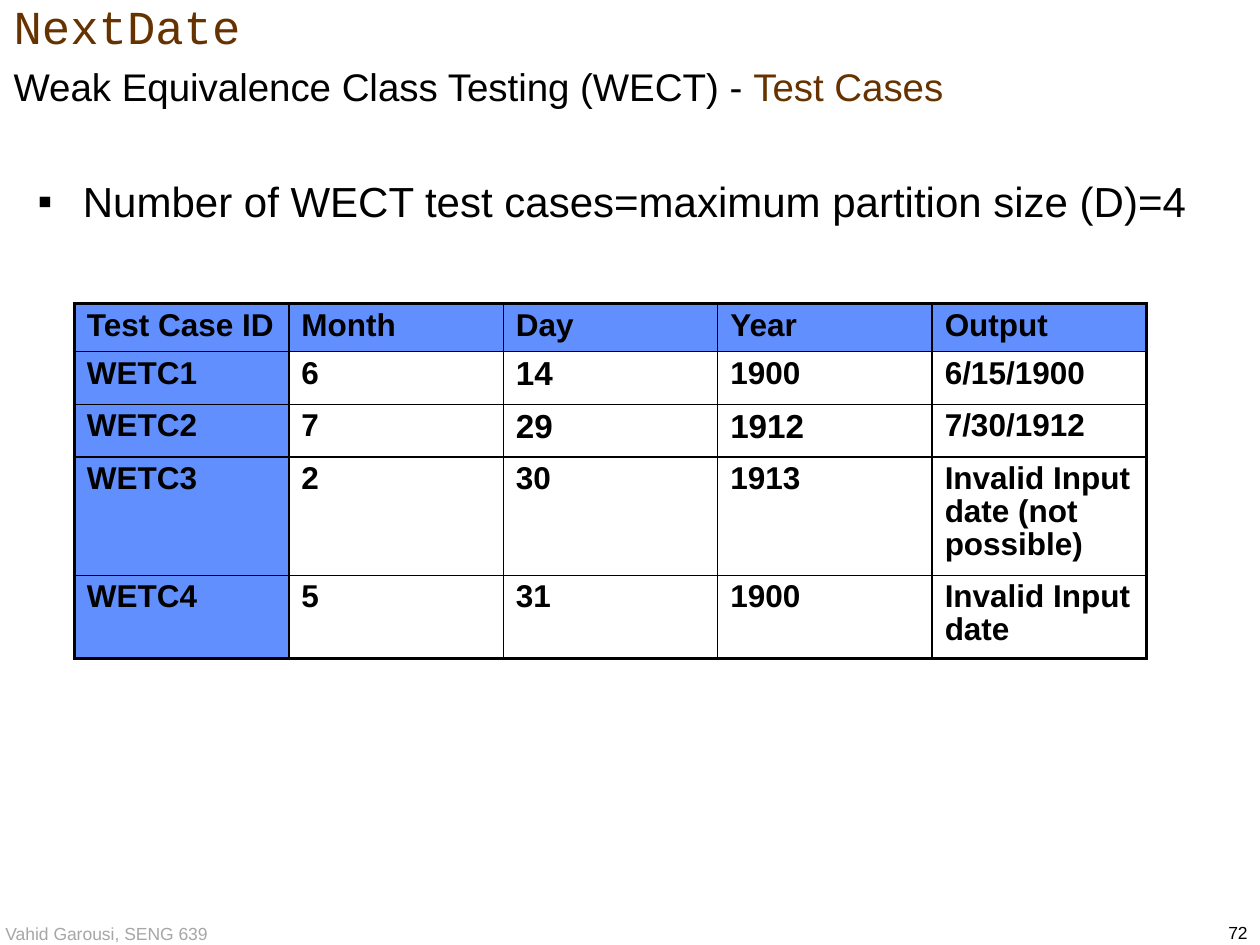
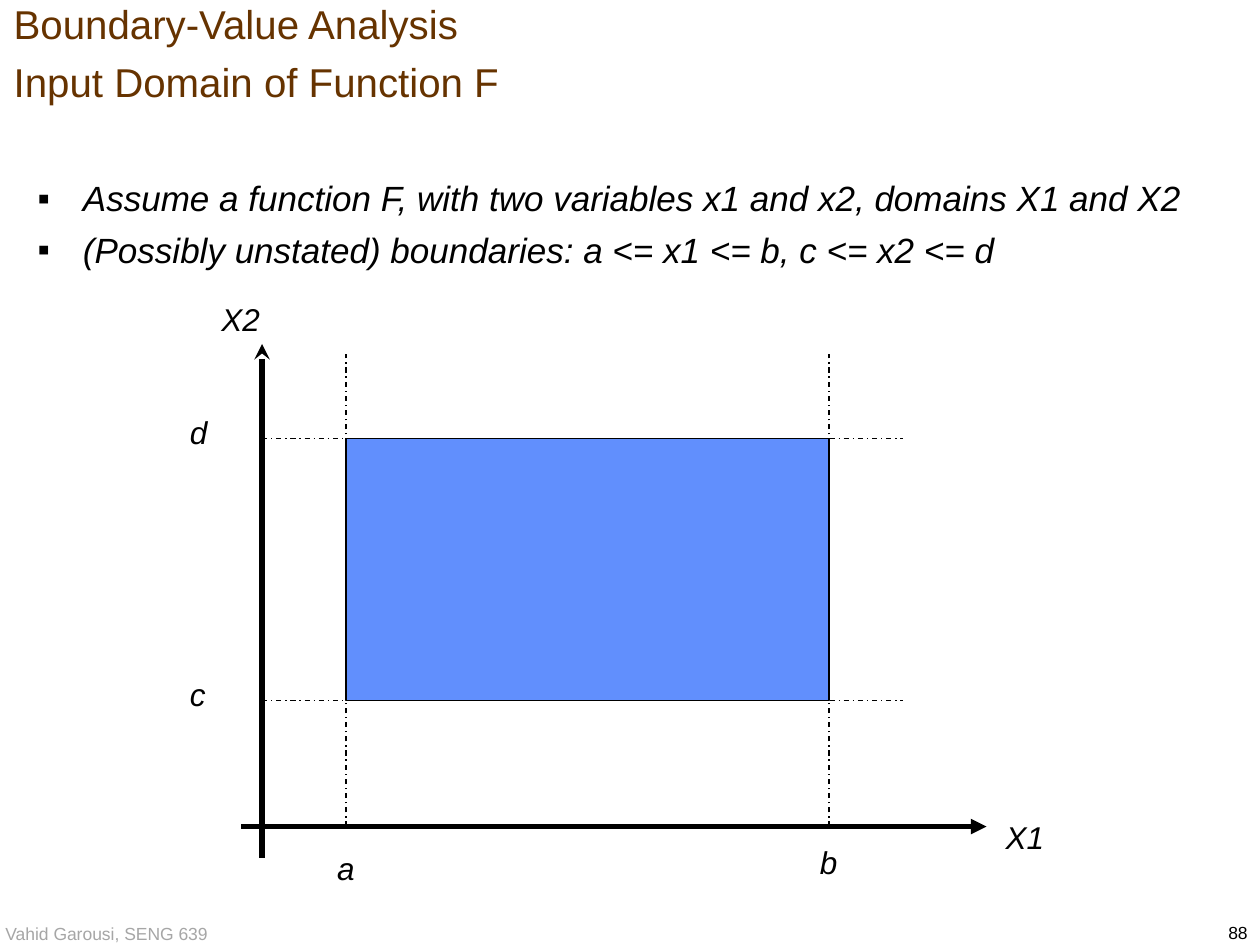
import dataclasses

import lxml.etree
import pptx
import pptx.dml.color
import pptx.enum.dml
import pptx.enum.shapes
import pptx.enum.text
import pptx.oxml.ns
import pptx.util

BLACK = pptx.dml.color.RGBColor(0x00, 0x00, 0x00)
BROWN = pptx.dml.color.RGBColor(0x66, 0x33, 0x00)
GRAY = pptx.dml.color.RGBColor(0xA6, 0xA6, 0xA6)
BLUE = pptx.dml.color.RGBColor(0x61, 0x8F, 0xFD)
SANS, MONO = "Arial", "Courier New"
ALIGN = pptx.enum.text.PP_ALIGN
ANCHOR = pptx.enum.text.MSO_ANCHOR
inches = pptx.util.Inches


@dataclasses.dataclass
class Box:
    left: float
    top: float
    width: float
    height: float

    def emu(self):
        return [inches(v) for v in (self.left, self.top, self.width, self.height)]


SLIDE = Box(0, 0, 10, 7.5)
TITLE = Box(0.01, 0.01, 9.99, 0.74)
AUTHOR = Box(-0.12, 7.25, 1.93, 0.32)
PAGE_NUMBER = Box(8.75, 7.27, 1.25, 0.27)
TEST_CASES = Box(0.59, 2.41, 8.51, 2.7)
PLOT = Box(2.08, 2.73, 5.75, 3.83)


def add_xml(parent, tag, **attributes):
    return lxml.etree.SubElement(parent, pptx.oxml.ns.qn(tag), attributes)


def set_font(font, size, color=BLACK, name=SANS, bold=False, italic=False):
    font.size = pptx.util.Pt(size)
    font.color.rgb = color
    font.name = name
    font.bold = bold
    font.italic = italic


def add_text(slide, box, text="", size=18, color=BLACK, italic=False,
             align=ALIGN.LEFT, anchor=ANCHOR.TOP, wrap=True):
    frame = slide.shapes.add_textbox(*box.emu()).text_frame
    frame.word_wrap = wrap
    frame.vertical_anchor = anchor
    paragraph = frame.paragraphs[0]
    paragraph.text = text
    paragraph.alignment = align
    set_font(paragraph.font, size, color, italic=italic)
    return frame


# Parts shared by both slides
def add_title(slide, lines):
    """Each line is a list of (text, size, color, font name) runs."""
    paragraph = add_text(slide, TITLE, anchor=ANCHOR.MIDDLE).paragraphs[0]
    paragraph.line_spacing = 1.2
    for number, line in enumerate(lines):
        if number:
            paragraph.add_line_break()
        for text, size, color, name in line:
            run = paragraph.add_run()
            run.text = text
            set_font(run.font, size, color, name)


def add_footer(slide, number):
    add_text(slide, PAGE_NUMBER, str(number), 10, align=ALIGN.RIGHT)
    add_text(slide, AUTHOR, "Vahid Garousi, SENG 639", 10, GRAY,
             align=ALIGN.CENTER, anchor=ANCHOR.MIDDLE, wrap=False)


def add_bullets(slide, points, size, height, italic=False):
    frame = add_text(slide, Box(0.2, 1.39, 9.53, height))
    for number, point in enumerate(points):
        paragraph = frame.add_paragraph() if number else frame.paragraphs[0]
        paragraph.text = point
        paragraph.line_spacing = 0.9
        if number:
            paragraph.space_before = pptx.util.Pt(0.4 * size)
        properties = paragraph._p.get_or_add_pPr()
        properties.set("marL", str(inches(0.36)))
        properties.set("indent", str(inches(-0.36)))
        for old in properties.findall(pptx.oxml.ns.qn("a:defRPr")):
            properties.remove(old)
        bullet_color = add_xml(properties, "a:buClr")
        add_xml(bullet_color, "a:srgbClr", val=str(BLACK))
        add_xml(properties, "a:buFont", typeface=SANS)
        add_xml(properties, "a:buChar", char="▪")
        set_font(paragraph.font, size, italic=italic)


# Test case table
def set_borders(cell, widths):
    properties = cell._tc.get_or_add_tcPr()
    for index, (side, width) in enumerate(widths.items()):
        line = lxml.etree.Element(pptx.oxml.ns.qn("a:ln" + side),
                                  w=str(pptx.util.Pt(width)))
        add_xml(add_xml(line, "a:solidFill"), "a:srgbClr", val=str(BLACK))
        properties.insert(index, line)


def add_test_cases(slide, box):
    rows = [
        ["Test Case ID", "Month", "Day", "Year", "Output"],
        ["WETC1", "6", "14", "1900", "6/15/1900"],
        ["WETC2", "7", "29", "1912", "7/30/1912"],
        ["WETC3", "2", "30", "1913", "Invalid Input date (not possible)"],
        ["WETC4", "5", "31", "1900", "Invalid Input date"],
    ]
    heights = [0.35, 0.42, 0.42, 0.88, 0.63]
    larger = {(1, 2), (2, 2), (2, 3)}
    last_row, last_column = len(rows) - 1, len(rows[0]) - 1
    table = slide.shapes.add_table(len(rows), len(rows[0]), *box.emu()).table
    table.horz_banding = False
    table.first_row = False
    for column in table.columns:
        column.width = inches(box.width / len(rows[0]))
    for r, (values, height) in enumerate(zip(rows, heights)):
        table.rows[r].height = inches(height)
        for c, value in enumerate(values):
            cell = table.cell(r, c)
            if r == 0 or c == 0:
                cell.fill.solid()
                cell.fill.fore_color.rgb = BLUE
            else:
                cell.fill.background()
            paragraph = cell.text_frame.paragraphs[0]
            paragraph.text = value
            paragraph.line_spacing = 0.93
            set_font(paragraph.font, 19 if (r, c) in larger else 18, bold=True)
            outer = {"L": c == 0, "R": c == last_column,
                     "T": r == 0, "B": r == last_row}
            set_borders(cell, {side: 2.25 if edge else 1
                               for side, edge in outer.items()})


# Input domain plot, on a grid with its origin where the axes cross
def add_domain_plot(slide, box):
    columns, rows = 69, 46
    a, b, c, d = 8, 54, 12, 37
    guide_right, guide_top = 61, 45

    def x(column):
        return box.left + box.width * column / columns

    def y(row):
        return box.top + box.height * (1 - row / rows)

    def add_line(start, end, width, arrow=None):
        ends = [inches(v) for v in (x(start[0]), y(start[1]), x(end[0]), y(end[1]))]
        connector = slide.shapes.add_connector(
            pptx.enum.shapes.MSO_CONNECTOR.STRAIGHT, *ends)
        connector.line.color.rgb = BLACK
        connector.line.width = pptx.util.Pt(width)
        if arrow:
            add_xml(connector.line._get_or_add_ln(), "a:tailEnd", type=arrow)
        else:
            connector.line.dash_style = pptx.enum.dml.MSO_LINE.DASH_DOT
        add_xml(connector._element.spPr, "a:effectLst")

    # Axes
    add_line((0, -3), (0, rows), 3, "stealth")
    add_line((-2, 0), (columns, 0), 3, "triangle")

    # Boundary guides
    for row in (d, c):
        add_line((0, row), (guide_right, row), 0.75)
    for column in (a, b):
        add_line((column, 0), (column, guide_top), 0.75)

    # Valid region
    region = Box(x(a), y(d), x(b) - x(a), y(c) - y(d))
    domain = slide.shapes.add_shape(
        pptx.enum.shapes.MSO_SHAPE.RECTANGLE, *region.emu())
    domain.shadow.inherit = False
    domain.fill.solid()
    domain.fill.fore_color.rgb = BLUE
    domain.line.color.rgb = BLACK
    domain.line.width = pptx.util.Pt(0.75)

    # Labels, centred on grid points
    labels = [("a", a, -4), ("b", b, -3.4), ("d", -6, d + 0.6), ("c", -6, c + 0.6),
              ("X1", 72.7, -1), ("X2", -2, 48.4)]
    for text, column, row in labels:
        width = 0.34 if len(text) == 1 else 0.51
        add_text(slide, Box(x(column) - width / 2, y(row) - 0.2, width, 0.4),
                 text, italic=True, wrap=False)


def build_test_case_slide(slide):
    add_footer(slide, 72)
    add_title(slide, [
        [("NextDate", 27, BROWN, MONO)],
        [("Weak Equivalence Class Testing (WECT) - ", 22, BLACK, SANS),
         ("Test Cases", 22, BROWN, SANS)],
    ])
    add_bullets(slide, ["Number of WECT test cases=maximum partition size (D)=4"],
                24, 0.46)
    add_test_cases(slide, TEST_CASES)


def build_domain_slide(slide):
    add_footer(slide, 88)
    add_title(slide, [[(line, 23, BROWN, SANS)] for line in
                      ("Boundary-Value Analysis", "Input Domain of Function F")])
    add_domain_plot(slide, PLOT)
    add_bullets(slide, [
        "Assume a function F, with two variables x1 and x2, domains X1 and X2",
        "(Possibly unstated) boundaries: a <= x1 <= b, c <= x2 <= d",
    ], 20, 0.83, italic=True)


def main():
    deck = pptx.Presentation()
    deck.slide_width = inches(SLIDE.width)
    deck.slide_height = inches(SLIDE.height)
    blank = deck.slide_layouts[6]
    for build in (build_test_case_slide, build_domain_slide):
        build(deck.slides.add_slide(blank))
    deck.save("out.pptx")


if __name__ == "__main__":
    main()
